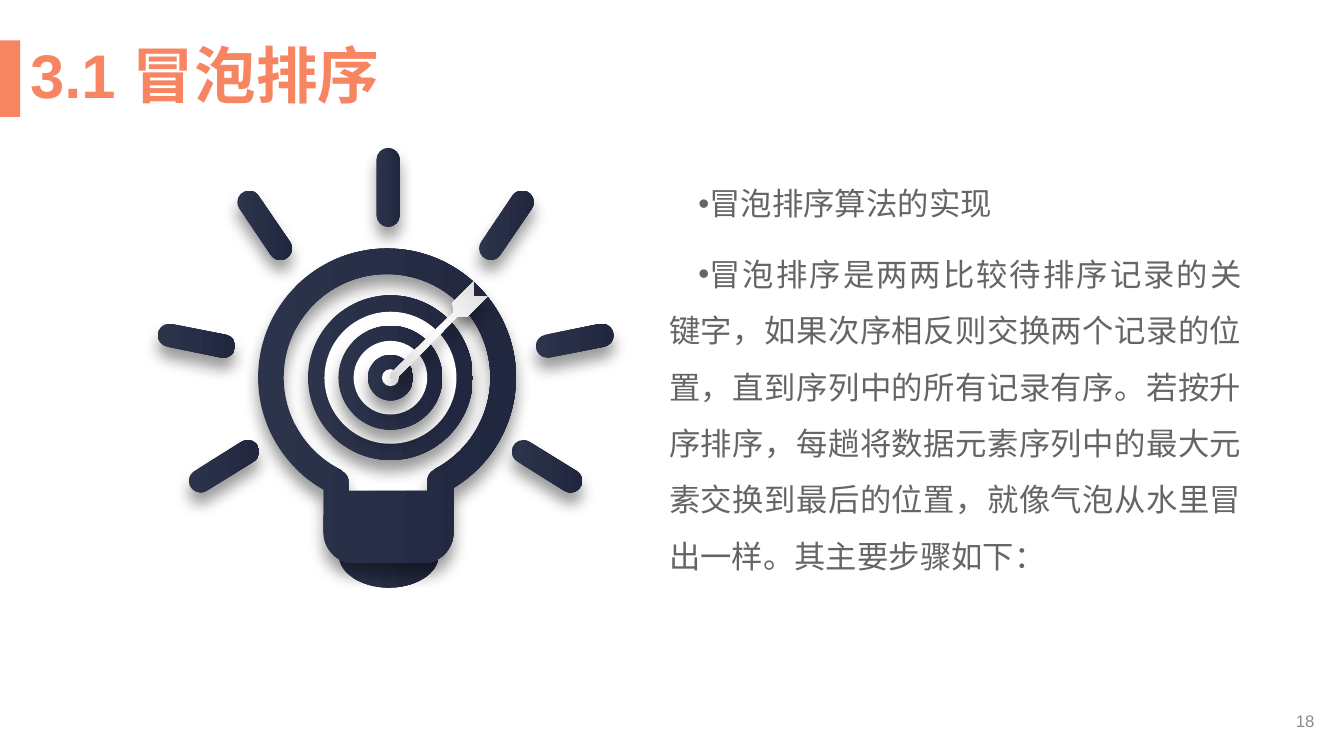
"""Build the bubble sort slide with a bulb and target drawing."""
from itertools import pairwise
from math import atan2, cos, degrees, radians, sin, tan
from typing import NamedTuple

from lxml import etree
from pptx import Presentation
from pptx.dml.color import RGBColor
from pptx.enum.shapes import MSO_SHAPE
from pptx.enum.text import MSO_ANCHOR, PP_ALIGN
from pptx.oxml import parse_xml
from pptx.oxml.ns import nsdecls, qn
from pptx.util import Pt

RECT, OVAL = MSO_SHAPE.RECTANGLE, MSO_SHAPE.OVAL
TOP, MID, LOW = MSO_ANCHOR.TOP, MSO_ANCHOR.MIDDLE, MSO_ANCHOR.BOTTOM
LEFT, RIGHT, EVEN = PP_ALIGN.LEFT, PP_ALIGN.RIGHT, PP_ALIGN.JUSTIFY

CORAL, WHITE = "F88562", "FFFFFF"
NAVY = ((0, "2C344B"), (100, "21273E"))
SILVER = ((0, "FFFFFF"), (35, "F2F2F2"), (100, "D9D9D9"))
LINEAR = '<a:lin ang="0" scaled="0"/>'
ROUND = ('<a:path path="circle"><a:fillToRect l="50000" t="50000" '
         'r="50000" b="50000"/></a:path>')

Points = list[tuple[float, float]]


class Ray(NamedTuple):
    x1: float
    y1: float
    x2: float
    y2: float


class Disc(NamedTuple):
    size: float
    dark: bool


AXIS = 275.4
CAP = 8.3
SIDE = (Ray(177.8, 144.4, 200.3, 177.5),
        Ray(120.8, 239.5, 159.8, 247.3),
        Ray(143.2, 343.6, 177, 322.6))
RAYS = (Ray(277.2, 114.1, 277.2, 153.7), *SIDE,
        *(Ray(2 * AXIS - r.x1, r.y1, 2 * AXIS - r.x2, r.y2) for r in SIDE))
DISCS = (Disc(117.7, True), Disc(94.3, False), Disc(74.2, True),
         Disc(52.6, False), Disc(32.6, True), Disc(12.2, False))
HUB = (278.9, 269.8)
ARROW = [(326.9, 226.1), (334.1, 226.1), (348.5, 211.7), (338.4, 211.7),
         (338.4, 200.9), (323.3, 216), (324, 223.2), (278.6, 267.1),
         (278.6, 270.7), (283, 270.7)]
BODY = (
    "冒泡排序算法的实现",
    "冒泡排序是两两比较待排序记录的关键字，如果次序相反则交换两个记录的位置，"
    "直到序列中的所有记录有序。若按升序排序，每趟将数据元素序列中的最大元素"
    "交换到最后的位置，就像气泡从水里冒出一样。其主要步骤如下：",
)


def color(code: str) -> RGBColor:
    """Turn a hex string into a colour."""
    return RGBColor.from_string(code)


def plain(shape, code: str) -> None:
    """Give a shape a flat fill without line or shadow."""
    shape.fill.solid()
    shape.fill.fore_color.rgb = color(code)
    shape.line.fill.background()
    shape.shadow.inherit = False


def shade(shape, stops: tuple, mode: str = LINEAR, lift: bool = True) -> None:
    """Give a shape a gradient fill and, when lifted, a soft shadow."""
    plain(shape, WHITE)
    props = shape.element.spPr
    marks = "".join(f'<a:gs pos="{pos * 1000}"><a:srgbClr val="{code}"/></a:gs>'
                    for pos, code in stops)
    grad = parse_xml(f'<a:gradFill {nsdecls("a")} rotWithShape="1">'
                     f'<a:gsLst>{marks}</a:gsLst>{mode}</a:gradFill>')
    props.replace(props.find(qn("a:solidFill")), grad)
    if lift:
        props.find(qn("a:effectLst")).append(parse_xml(
            f'<a:outerShdw {nsdecls("a")} blurRad="{Pt(11)}" dist="{Pt(8)}" '
            'dir="5400000" algn="t" rotWithShape="0"><a:srgbClr val="000000">'
            '<a:alpha val="40000"/></a:srgbClr></a:outerShdw>'))


def arc(x: float, y: float, wide: float, start: float, end: float,
        high: float | None = None) -> Points:
    """Return the curve points of an arc, split at each quarter turn."""
    high = high or wide
    low, top = sorted((start, end))
    cuts = [low, *(a for a in range(-360, 721, 90) if low < a < top), top]
    turns = [radians(a) for a in (cuts if start < end else cuts[::-1])]
    path = [(x + wide * cos(turns[0]), y + high * sin(turns[0]))]
    for a, b in pairwise(turns):
        k = 4 / 3 * tan((b - a) / 4)
        path += [(x + wide * (cos(a) - k * sin(a)), y + high * (sin(a) + k * cos(a))),
                 (x + wide * (cos(b) + k * sin(b)), y + high * (sin(b) - k * cos(b))),
                 (x + wide * cos(b), y + high * sin(b))]
    return path


def join(*parts: Points) -> Points:
    """Link curves with straight stretches into one loop."""
    path = list(parts[0])
    for part in parts[1:]:
        path += [part[0]] * 3 + part[1:]
    return path


def trace(slide, *loops: Points, curved: bool = True):
    """Draw closed outlines as one freeform."""
    paths = [[(Pt(x), Pt(y)) for x, y in loop] for loop in loops]
    pen = slide.shapes.build_freeform(*paths[0][0])
    for i, path in enumerate(paths):
        if i:
            pen.move_to(*path[0])
        pen.add_line_segments(path[1:], close=True)
    shape = pen.convert_to_shape()
    if curved:
        steps = list(shape.element.iter(qn("a:lnTo")))
        for trio in zip(steps[::3], steps[1::3], steps[2::3]):
            curve = etree.Element(qn("a:cubicBezTo"))
            trio[0].addprevious(curve)
            for step in trio:
                curve.append(step[0])
                step.getparent().remove(step)
    return shape


def block(slide, kind, x: float, y: float, wide: float, high: float):
    """Add a preset shape."""
    return slide.shapes.add_shape(kind, Pt(x), Pt(y), Pt(wide), Pt(high))


def text(slide, lines: tuple, x: float, y: float, wide: float, high: float, *,
         size: float, code: str, font: str = "Arial", bold: bool = False,
         align=LEFT, anchor=TOP, line: float = 1.0, space: float = 0,
         bullet: bool = False) -> None:
    """Add a text box with one paragraph for each line."""
    frame = slide.shapes.add_textbox(Pt(x), Pt(y), Pt(wide), Pt(high)).text_frame
    frame.word_wrap = True
    frame.vertical_anchor = anchor
    for i, words in enumerate(lines):
        para = frame.add_paragraph() if i else frame.paragraphs[0]
        para.alignment, para.line_spacing = align, line
        if i:
            para.space_before = Pt(space)
        if bullet:
            props = para._p.get_or_add_pPr()
            props.set("marL", str(Pt(18)))
            props.set("indent", str(Pt(21)))
            etree.SubElement(props, qn("a:buFont")).set("typeface", "Arial")
            etree.SubElement(props, qn("a:buChar")).set("char", "•")
        run = para.add_run()
        run.text = words
        run.font.name, run.font.size, run.font.bold = font, Pt(size), bold
        run.font.color.rgb = color(code)


def draw_ray(slide, ray: Ray) -> None:
    """Draw one ray with round ends."""
    turn = degrees(atan2(ray.y2 - ray.y1, ray.x2 - ray.x1))
    loop = join(arc(ray.x1, ray.y1, CAP, turn + 90, turn + 270),
                arc(ray.x2, ray.y2, CAP, turn - 90, turn + 90))
    shade(trace(slide, loop), NAVY)


def draw_bulb(slide) -> None:
    """Draw the panel, the cap, the rays and the hollow bulb."""
    plain(block(slide, RECT, 112.3, 105.8, 326.2, 313.9), WHITE)
    shade(trace(slide, arc(277.6, 396.7, 35.6, 0, 180, 23)), NAVY, lift=False)
    for ray in RAYS:
        draw_ray(slide, ray)
    outer = join(arc(276.5, 269.6, 92.1, 119.5, 418.9),
                 arc(301.7, 380.2, 22.3, 0, 90), arc(253.4, 380.2, 22.3, 90, 180))
    inner = join(arc(276.5, 269.6, 73.8, 116, 422.8),
                 arc(313.9, 343.4, 8.6, 245, 180), [(305.3, 350.6)],
                 [(249.1, 350.6)], arc(240.5, 344.2, 8.6, 0, -65))
    shade(trace(slide, outer, inner), NAVY)


def draw_mark(slide) -> None:
    """Draw the target rings and the arrow."""
    for disc in DISCS:
        x, y = (mid - disc.size / 2 for mid in HUB)
        shape = block(slide, OVAL, x, y, disc.size, disc.size)
        if disc.dark:
            shade(shape, NAVY)
        else:
            plain(shape, WHITE)
    shade(trace(slide, ARROW, curved=False), SILVER, ROUND)


def main() -> None:
    """Build and save the deck."""
    deck = Presentation()
    deck.slide_width, deck.slide_height = Pt(960), Pt(540)
    slide = deck.slides.add_slide(deck.slide_layouts[6])
    plain(block(slide, RECT, 0, 28.8, 14.4, 54.7), CORAL)
    text(slide, ("3.1 冒泡排序",), 14.4, 28.1, 361.4, 55.4, size=44, code=CORAL,
         bold=True, anchor=LOW, line=0.9)
    text(slide, BODY, 452.9, 114.8, 441.4, 369.4, size=22.4, code="656565",
         font="Times New Roman", align=EVEN, line=1.5, space=10, bullet=True)
    text(slide, ("18",), 730.1, 500.4, 216, 28.8, size=12, code="8C8C8C",
         align=RIGHT, anchor=MID)
    draw_bulb(slide)
    draw_mark(slide)
    deck.save("out.pptx")


if __name__ == "__main__":
    main()
